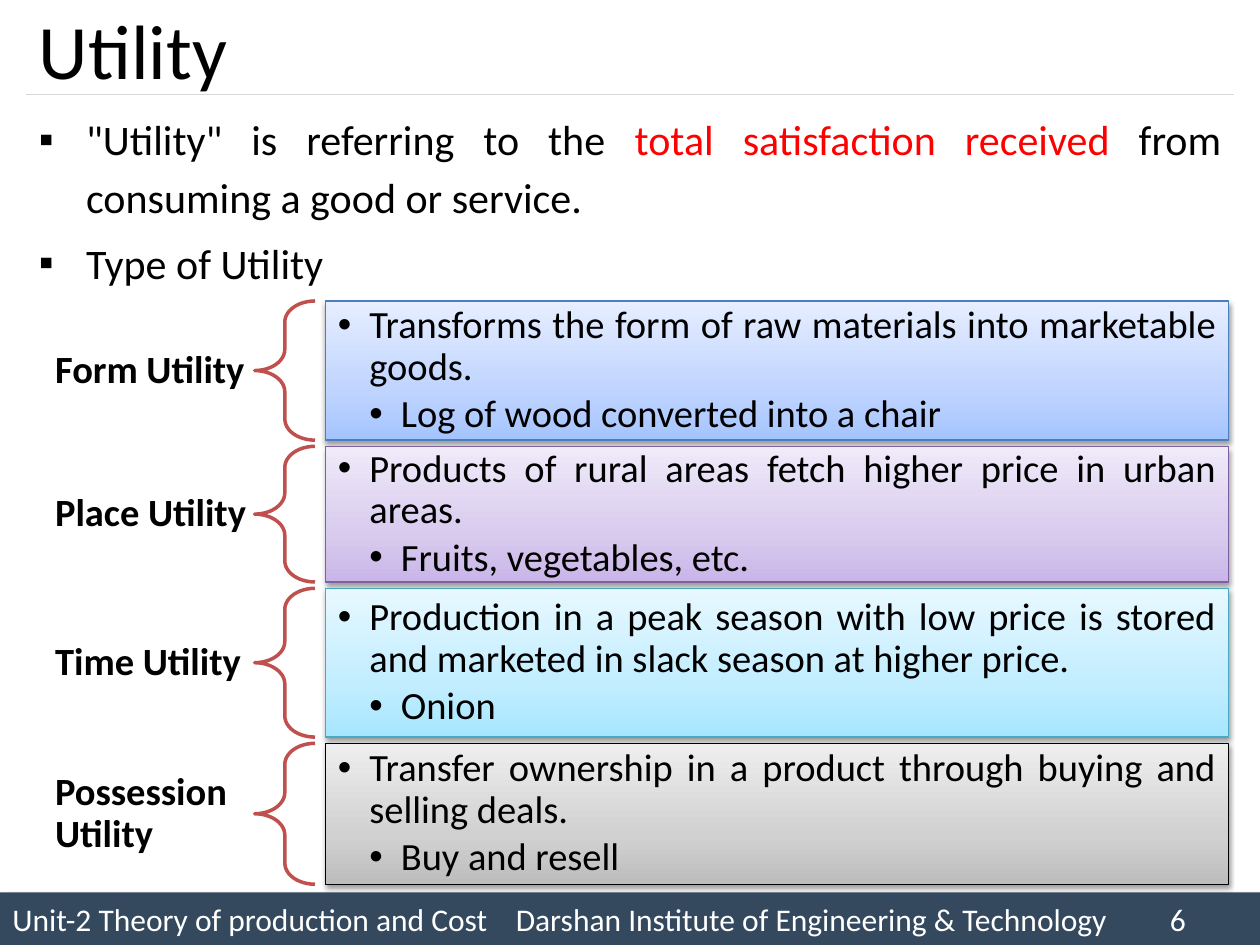
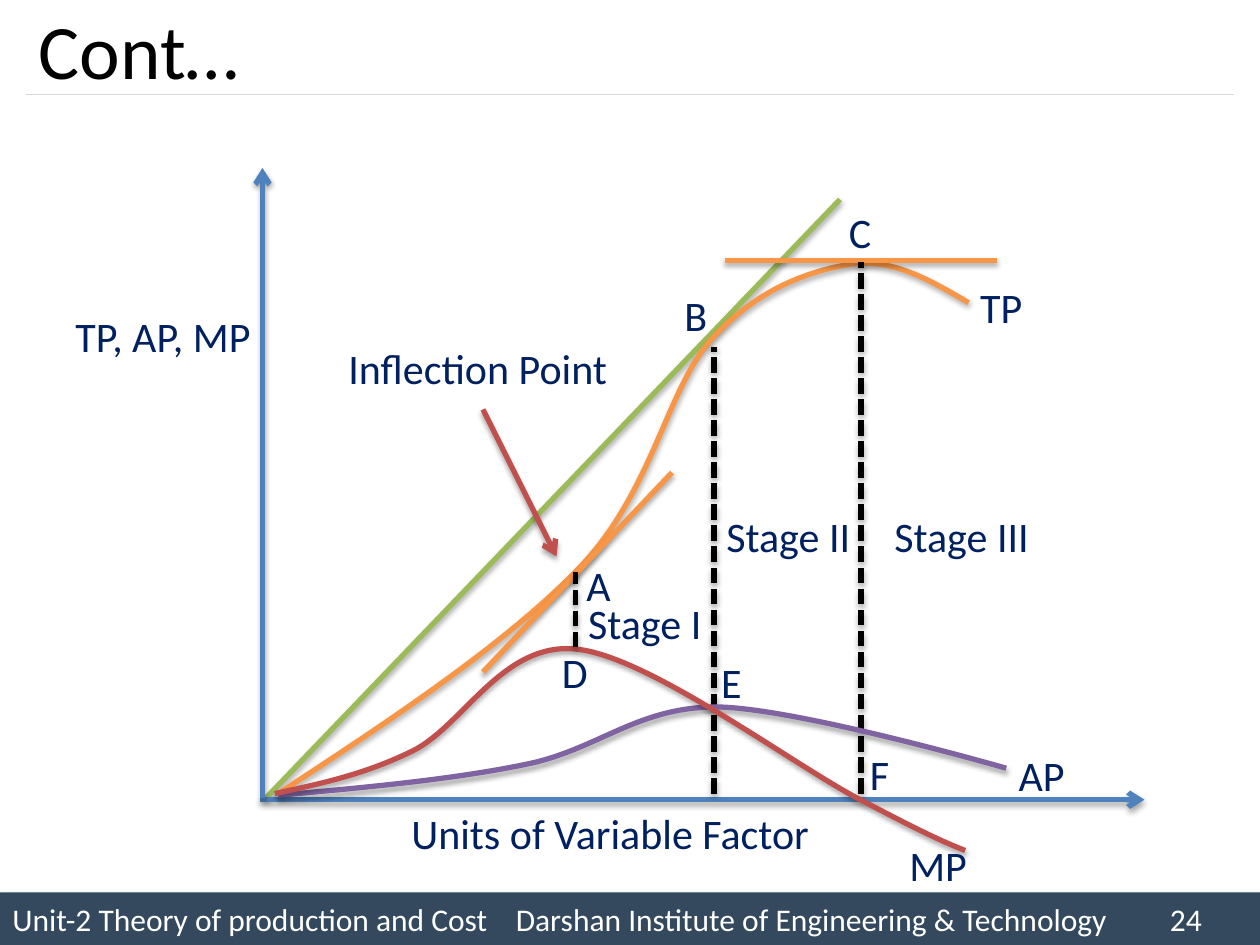
"""Build two economics slides: types of utility, and the stages of production."""
import copy

import lxml.etree
import pptx
import pptx.dml.color
import pptx.enum.dml
import pptx.enum.shapes
import pptx.enum.text
import pptx.oxml.ns
import pptx.util

Pt = pptx.util.Pt
RGBColor = pptx.dml.color.RGBColor
Align = pptx.enum.text.PP_ALIGN
Anchor = pptx.enum.text.MSO_ANCHOR
AutoSize = pptx.enum.text.MSO_AUTO_SIZE
Shape = pptx.enum.shapes.MSO_SHAPE
qn = pptx.oxml.ns.qn

BLACK = RGBColor(0x00, 0x00, 0x00)
WHITE = RGBColor(0xFF, 0xFF, 0xFF)
RED = RGBColor(0xFF, 0x00, 0x00)
SLATE = RGBColor(0x34, 0x49, 0x5E)
RULE_GREY = RGBColor(0xD9, 0xD9, 0xD9)
NAVY = RGBColor(0x00, 0x20, 0x60)
BLUE = RGBColor(0x4F, 0x81, 0xBD)
GREEN = RGBColor(0x9B, 0xBB, 0x59)
ORANGE = RGBColor(0xF7, 0x96, 0x46)
PURPLE = RGBColor(0x80, 0x64, 0xA2)
BRICK = RGBColor(0xC0, 0x50, 0x4D)
BLUE_BOX = (RGBColor(0xA4, 0xC4, 0xFF), RGBColor(0xBF, 0xD4, 0xFF),
            RGBColor(0xE6, 0xEE, 0xFF), RGBColor(0x4B, 0x7E, 0xBC))
PURPLE_BOX = (RGBColor(0xC9, 0xB5, 0xE8), RGBColor(0xD8, 0xCB, 0xEE),
              RGBColor(0xF0, 0xEA, 0xF9), RGBColor(0x7D, 0x60, 0xA0))
AQUA_BOX = (RGBColor(0xA7, 0xE6, 0xFF), RGBColor(0xC1, 0xED, 0xFF),
            RGBColor(0xE7, 0xF8, 0xFF), RGBColor(0x46, 0xAA, 0xC5))
GREY_BOX = (RGBColor(0xBD, 0xBD, 0xBD), RGBColor(0xD1, 0xD1, 0xD1),
            RGBColor(0xEE, 0xEE, 0xEE), BLACK)

FONT = "Calibri"
FOOTER = ("Unit-2 Theory of production and Cost", "Darshan Institute of Engineering & Technology")
FOOTER_TABS = (287.7, 661.5)
BAND_SHADOW = {"alpha": 40, "blur": 4, "distance": 3, "angle": 45}
BOX_SHADOW = {"alpha": 38, "blur": 3.1, "distance": 1.6, "angle": 90}
LINE_SHADOW = {"alpha": 35, "blur": 3.1, "distance": 1.8, "angle": 90}

UTILITY_POINTS = [
    [('"Utility" is referring to the ', BLACK), ("total satisfaction received ", RED),
     ("from consuming a good or service.", BLACK)],
    [("Type of Utility", BLACK)],
]
UTILITY_TYPES = [
    ("Form Utility", "Transforms the form of raw materials into marketable goods.",
     "Log of wood converted into a chair", 79.5, BLUE_BOX),
    ("Place Utility", "Products of rural areas fetch higher price in urban areas.",
     "Fruits, vegetables, etc.", 77.5, PURPLE_BOX),
    ("Time Utility", "Production in a peak season with low price is stored and marketed "
     "in slack season at higher price.", "Onion", 85, AQUA_BOX),
    ("Possession Utility", "Transfer ownership in a product through buying and selling deals.",
     "Buy and resell", 80.5, GREY_BOX),
]
ROWS_TOP, ROW_GAP = 172, 3.6

DIAGRAM_LINES = [
    ("ray", GREEN, [(152, 456), (480, 114)]),
    ("arrow", BLUE, [(148.5, 457), (654, 457)]),
    ("arrow", BLUE, [(150, 456), (150, 96)]),
    ("curve", ORANGE, [(159, 453.5), (225, 410.5), (291, 366.5), (332, 323.5), (373, 280),
                       (381, 223), (406, 194.5), (432, 165.5), (461.5, 155), (486, 151),
                       (510.5, 147.5), (532, 160.5), (553.5, 173)]),
    ("tangent", ORANGE, [(414, 149), (570, 149)]),
    ("tangent", ORANGE, [(276, 384), (384, 270)]),
    ("dash", BLACK, [(408, 453.5), (408, 198)]),
    ("dash", BLACK, [(492, 453.5), (492, 150)]),
    ("curve", PURPLE, [(159, 454.5), (209, 450), (258, 445.5), (299.5, 437), (341, 429),
                       (363.5, 404), (409.5, 404), (455, 404.5), (575, 439), (575, 439)]),
    ("curve", BRICK, [(157, 453.5), (182, 448), (207.5, 443), (236, 429), (265, 414.5),
                      (287.5, 366), (330, 371), (373, 376), (457, 440), (494.5, 458.5),
                      (531.5, 478), (541.5, 482), (551.5, 486)]),
    ("dash", BLACK, [(329, 370), (329, 327)]),
    ("arrow", BRICK, [(276, 234), (318, 318)]),
]
DIAGRAM_LABELS = [
    ("Units of Variable Factor", 228, 458, 244), ("TP, AP, MP", 36, 174, 116),
    ("Inflection Point", 192, 192, 164), ("Stage I", 329, 338, 80),
    ("Stage II", 408, 288, 86), ("Stage III", 504, 288, 92),
    ("A", 328, 316, 29), ("B", 384, 162, 29), ("C", 478, 114.5, 27),
    ("D", 314, 366, 30), ("E", 405, 371.5, 27), ("F", 490, 424, 26),
    ("TP", 553, 157.5, 43), ("AP", 575, 425, 43), ("MP", 512.5, 476, 54),
]


def set_formats(target, formats):
    for name, value in formats.items():
        setattr(target, name, value)


def add_xml(parent, tag, **attributes):
    element = lxml.etree.SubElement(parent, qn(tag))
    for name, value in attributes.items():
        element.set(name, str(value))
    return element


def add_shadow(shape, shadow=None):
    effects = add_xml(shape.element.spPr, "a:effectLst")
    if shadow:
        outer = add_xml(effects, "a:outerShdw", blurRad=Pt(shadow["blur"]),
                        dist=Pt(shadow["distance"]), dir=shadow["angle"] * 60000,
                        rotWithShape=0)
        color = add_xml(outer, "a:srgbClr", val=BLACK)
        add_xml(color, "a:alpha", val=shadow["alpha"] * 1000)


def add_bullet(paragraph, character, margin, hanging):
    properties = paragraph._p.get_or_add_pPr()
    set_formats_xml = {"marL": Pt(margin), "indent": -Pt(hanging)}
    for name, value in set_formats_xml.items():
        properties.set(name, str(value))
    add_xml(add_xml(properties, "a:buClr"), "a:srgbClr", val=BLACK)
    add_xml(properties, "a:buFont", typeface="Arial")
    add_xml(properties, "a:buChar", char=character)


def write_runs(paragraph, runs, size, bold=False, **formats):
    set_formats(paragraph, formats)
    for text, color in runs:
        run = paragraph.add_run()
        run.text = text
        set_formats(run.font, {"name": FONT, "size": Pt(size), "bold": bold})
        run.font.color.rgb = color


def place(shape, left, top, width, height):
    set_formats(shape, {"left": Pt(left), "top": Pt(top),
                        "width": Pt(width), "height": Pt(height)})


def add_shape(slide, kind, *box):
    return slide.shapes.add_shape(kind, *map(Pt, box))


def add_line(slide, start, end, color, width):
    line = slide.shapes.add_connector(pptx.enum.shapes.MSO_CONNECTOR.STRAIGHT,
                                      *map(Pt, (*start, *end)))
    line.line.color.rgb = color
    line.line.width = Pt(width)
    return line


def add_curve(slide, points, color, width):
    start, *others = [(Pt(x), Pt(y)) for x, y in points]
    builder = slide.shapes.build_freeform(*start)
    builder.add_line_segments(others, close=False)
    curve = builder.convert_to_shape()
    outline = curve.element.find(".//" + qn("a:path"))
    segments = outline.findall(qn("a:lnTo"))
    for first in range(0, len(segments), 3):
        bezier = add_xml(outline, "a:cubicBezTo")
        for segment in segments[first:first + 3]:
            bezier.append(segment[0])
            outline.remove(segment)
    curve.fill.background()
    curve.line.color.rgb = color
    curve.line.width = Pt(width)
    return curve


def add_base_slide(presentation, layout, title, number):
    slide = presentation.slides.add_slide(presentation.slide_layouts[layout])
    band = add_shape(slide, Shape.RECTANGLE, 0, 510, 720, 30)
    band.fill.solid()
    band.fill.fore_color.rgb = SLATE
    band.line.fill.background()
    add_shadow(band, BAND_SHADOW)
    set_formats(band.text_frame, {"vertical_anchor": Anchor.MIDDLE, "word_wrap": True})
    footer = band.text_frame.paragraphs[0]
    tabs = add_xml(footer._p.get_or_add_pPr(), "a:tabLst")
    for position in FOOTER_TABS:
        add_xml(tabs, "a:tab", pos=Pt(position), algn="l")
    write_runs(footer, [("\t".join((*FOOTER, str(number))), WHITE)], 18, alignment=Align.LEFT)
    add_shadow(add_line(slide, (15, 54), (705, 54), RULE_GREY, 0.75))

    place(slide.shapes.title, 15, -3.6, 690, 63)
    frame = slide.shapes.title.text_frame
    set_formats(frame, {"vertical_anchor": Anchor.MIDDLE, "word_wrap": False,
                        "auto_size": AutoSize.NONE})
    write_runs(frame.paragraphs[0], [(title, BLACK)], 44, alignment=Align.LEFT)
    return slide


def add_utility_points(slide):
    body = slide.placeholders[1]
    place(body, 15, 57.5, 690, 444)
    body.text_frame.auto_size = AutoSize.NONE
    for index, runs in enumerate(UTILITY_POINTS):
        paragraph = body.text_frame.add_paragraph() if index else body.text_frame.paragraphs[0]
        add_bullet(paragraph, "▪", 27, 27)
        write_runs(paragraph, runs, 24, alignment=Align.JUSTIFY, line_spacing=1.14,
                   space_before=Pt(4.8 if index else 0))


def add_utility_row(slide, top, name, meaning, example, height, colors):
    label = slide.shapes.add_textbox(Pt(18), Pt(top), Pt(145.5), Pt(height))
    set_formats(label.text_frame, {"word_wrap": True, "vertical_anchor": Anchor.MIDDLE,
                                   "margin_left": Pt(13.5), "margin_right": Pt(13.5)})
    write_runs(label.text_frame.paragraphs[0], [(name, BLACK)], 22, bold=True,
               alignment=Align.JUSTIFY, line_spacing=0.9)

    brace = add_shape(slide, Shape.LEFT_BRACE, 145.5, top, 34.5, height)
    brace.adjustments[0], brace.adjustments[1] = 0.35, 0.5
    brace.shadow.inherit = False
    brace.fill.background()
    brace.line.color.rgb = BRICK
    brace.line.width = Pt(2)

    box = add_shape(slide, Shape.RECTANGLE, 186, top, 516, height)
    box.fill.gradient()
    box.fill.gradient_angle = 90
    stops = box.element.find(".//" + qn("a:gsLst"))
    stops.append(copy.deepcopy(stops[0]))
    *fills, outline = colors
    for stop, position, color in zip(box.fill.gradient_stops, (0, 0.35, 1), fills):
        stop.position = position
        stop.color.rgb = color
    box.line.color.rgb = outline
    box.line.width = Pt(0.75)
    add_shadow(box, BOX_SHADOW)
    frame = box.text_frame
    set_formats(frame, {"word_wrap": True, "vertical_anchor": Anchor.MIDDLE,
                        "margin_top": Pt(7.2), "margin_bottom": Pt(7.2)})
    for level, text in enumerate((meaning, example), 1):
        paragraph = frame.paragraphs[0] if level == 1 else frame.add_paragraph()
        add_bullet(paragraph, "•", 18 * level, 18)
        write_runs(paragraph, [(text, BLACK)], 22, level=level, alignment=Align.JUSTIFY,
                   line_spacing=0.9, space_after=Pt(3.3))


def add_diagram(slide):
    for kind, color, points in DIAGRAM_LINES:
        if kind == "curve":
            line = add_curve(slide, points, color, 3)
        else:
            line = add_line(slide, *points, color, 3)
        if kind == "dash":
            line.line.dash_style = pptx.enum.dml.MSO_LINE.SQUARE_DOT
        if kind == "arrow":
            add_xml(line.element.spPr.find(qn("a:ln")), "a:tailEnd", type="arrow")
        add_shadow(line, LINE_SHADOW)
    for text, left, top, width in DIAGRAM_LABELS:
        label = slide.shapes.add_textbox(Pt(left), Pt(top), Pt(width), Pt(36))
        set_formats(label.text_frame, {"word_wrap": False,
                                       "auto_size": AutoSize.SHAPE_TO_FIT_TEXT})
        write_runs(label.text_frame.paragraphs[0], [(text, NAVY)], 24)


def main():
    presentation = pptx.Presentation()
    set_formats(presentation, {"slide_width": Pt(720), "slide_height": Pt(540)})

    utility = add_base_slide(presentation, 1, "Utility", 6)
    add_utility_points(utility)
    top = ROWS_TOP
    for name, meaning, example, height, colors in UTILITY_TYPES:
        add_utility_row(utility, top, name, meaning, example, height, colors)
        top += height + ROW_GAP

    add_diagram(add_base_slide(presentation, 5, "Cont…", 24))
    presentation.save("out.pptx")


if __name__ == "__main__":
    main()
